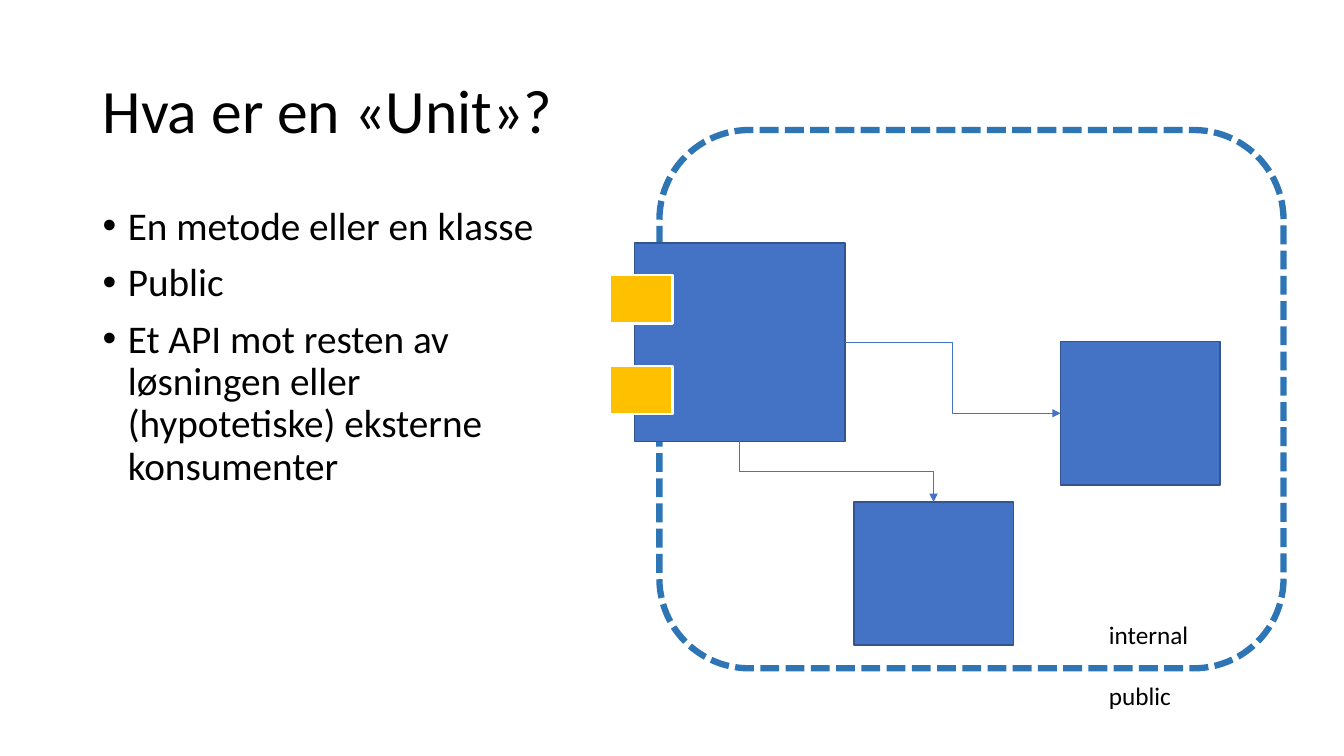
from dataclasses import dataclass

from lxml import etree
from pptx import Presentation
from pptx.dml.color import RGBColor
from pptx.enum.dml import MSO_LINE
from pptx.enum.shapes import MSO_CONNECTOR, MSO_SHAPE
from pptx.enum.text import MSO_ANCHOR, MSO_AUTO_SIZE
from pptx.oxml.ns import qn
from pptx.slide import Slide
from pptx.util import Inches, Pt

RECT = MSO_SHAPE.RECTANGLE
ROUND = MSO_SHAPE.ROUNDED_RECTANGLE
ELBOW = MSO_CONNECTOR.ELBOW
DASH = MSO_LINE.SQUARE_DOT
SYS_DASH = "sysDash"
MIDDLE = MSO_ANCHOR.MIDDLE
TOP = MSO_ANCHOR.TOP
GROW = MSO_AUTO_SIZE.SHAPE_TO_FIT_TEXT
FIXED = MSO_AUTO_SIZE.NONE

FONT = "Calibri"
BLACK = "000000"
BLUE = "4472C4"
NAVY = "325491"
GOLD = "FFC000"
WHITE = "FFFFFF"
EDGE = "2E75B6"


@dataclass
class Box:
    left: float
    top: float
    width: float
    height: float
    fill: str | None = BLUE
    line: str = NAVY
    weight: float = 1
    kind: int = RECT
    dashed: bool = False


@dataclass
class Arrow:
    start: tuple[float, float]
    end: tuple[float, float]
    upright: bool = False


def color(code: str) -> RGBColor:
    return RGBColor.from_string(code)


def add_text(slide: Slide, text: str, left: float, top: float, width: float,
             height: float, *, size: float = 18, anchor: int = TOP,
             wrap: bool = True, spacing: float = 1, before: float = 0,
             bullet: bool = False) -> None:
    frame = slide.shapes.add_textbox(
        Inches(left), Inches(top), Inches(width), Inches(height)).text_frame
    frame.word_wrap = wrap
    frame.auto_size = FIXED if wrap else GROW
    frame.vertical_anchor = anchor
    frame.text = text
    for index, para in enumerate(frame.paragraphs):
        para.line_spacing = spacing
        para.space_before = Pt(before if index else 0)
        if bullet:
            props = para._p.get_or_add_pPr()
            props.set("marL", str(Inches(0.25)))
            props.set("indent", str(Inches(-0.25)))
            etree.SubElement(props, qn("a:buFont"), typeface="Arial")
            etree.SubElement(props, qn("a:buChar"), char="•")
        for run in para.runs:
            run.font.name = FONT
            run.font.size = Pt(size)
            run.font.color.rgb = color(BLACK)


def add_box(slide: Slide, box: Box) -> None:
    shape = slide.shapes.add_shape(
        box.kind, Inches(box.left), Inches(box.top),
        Inches(box.width), Inches(box.height))
    shape.shadow.inherit = False
    if box.fill:
        shape.fill.solid()
        shape.fill.fore_color.rgb = color(box.fill)
    else:
        shape.fill.background()
    shape.line.color.rgb = color(box.line)
    shape.line.width = Pt(box.weight)
    if box.dashed:
        shape.line.dash_style = DASH
        shape.line._ln.find(qn("a:prstDash")).set("val", SYS_DASH)


def add_arrow(slide: Slide, arrow: Arrow) -> None:
    (x1, y1), (x2, y2) = arrow.start, arrow.end
    if arrow.upright:
        mid_x, mid_y = (x1 + x2) / 2, (y1 + y2) / 2
        half_w, half_h = (y2 - y1) / 2, (x2 - x1) / 2
        x1, x2 = mid_x + half_w, mid_x - half_w
        y1, y2 = mid_y - half_h, mid_y + half_h
    link = slide.shapes.add_connector(
        ELBOW, Inches(x1), Inches(y1), Inches(x2), Inches(y2))
    link.line.color.rgb = color(BLUE)
    link.line.width = Pt(0.5)
    props = link._element.spPr
    if arrow.upright:
        props.find(qn("a:xfrm")).set("rot", str(270 * 60000))
    etree.SubElement(props.find(qn("a:ln")), qn("a:tailEnd"), type="triangle")
    etree.SubElement(props, qn("a:effectLst"))


BORDER = Box(6.54, 1.29, 6.19, 5.34, fill=None, line=EDGE, weight=4.5,
             kind=ROUND, dashed=True)
UNIT = Box(6.29, 2.41, 2.09, 1.97)
RIGHT = Box(10.52, 3.39, 1.58, 1.42)
LOWER = Box(8.47, 4.98, 1.58, 1.42)
PORTS = [Box(6.05, top, 0.62, 0.48, fill=GOLD, line=WHITE, weight=1.5)
         for top in (3.63, 2.73)]
ARROWS = [
    Arrow((UNIT.left + UNIT.width / 2, UNIT.top + UNIT.height),
          (LOWER.left + LOWER.width / 2, LOWER.top), upright=True),
    Arrow((UNIT.left + UNIT.width, UNIT.top + UNIT.height / 2),
          (RIGHT.left, RIGHT.top + RIGHT.height / 2)),
]
POINTS = [
    "En metode eller en klasse",
    "Public",
    "Et API mot resten av løsningen eller (hypotetiske) eksterne konsumenter",
]


def main() -> None:
    deck = Presentation()
    deck.slide_width, deck.slide_height = Inches(13.33), Inches(7.5)
    slide = deck.slides.add_slide(deck.slide_layouts[6])
    add_text(slide, "Hva er en «Unit»?", 0.92, 0.4, 11.5, 1.45,
             size=44, anchor=MIDDLE, spacing=0.9)
    add_text(slide, "\n".join(POINTS), 0.92, 2, 4.74, 4.76,
             size=28, spacing=0.9, before=10, bullet=True)
    add_box(slide, BORDER)
    add_text(slide, "public", 10.9, 6.7, 0.82, 0.4, wrap=False)
    for box in (UNIT, RIGHT, LOWER):
        add_box(slide, box)
    for arrow in ARROWS:
        add_arrow(slide, arrow)
    add_text(slide, "internal", 10.9, 6.09, 1, 0.4, wrap=False)
    for port in PORTS:
        add_box(slide, port)
    deck.save("out.pptx")


if __name__ == "__main__":
    main()
